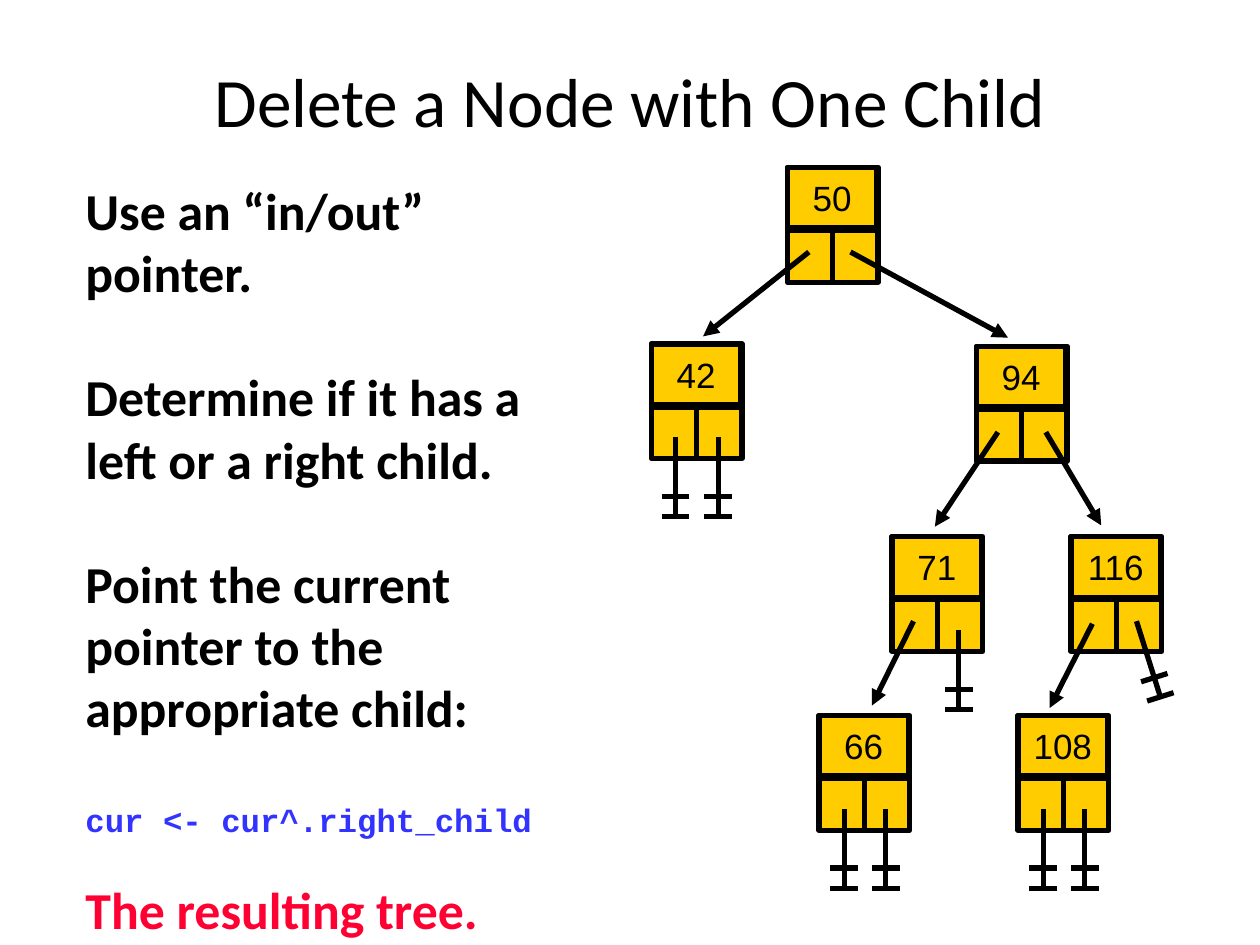
"""Build a slide on deleting a binary tree node that has one child."""
import math
from dataclasses import dataclass
from typing import Any

import pptx
import pptx.dml.color
import pptx.enum.shapes
import pptx.enum.text
import pptx.oxml.ns
import pptx.oxml.xmlchemy
import pptx.util
from pptx.util import Inches, Pt

BLACK, GOLD, BLUE, RED = "000000", "FFCC00", "3333FF", "FF0033"
CENTER = pptx.enum.text.PP_ALIGN.CENTER
MIDDLE = pptx.enum.text.MSO_ANCHOR.MIDDLE
CELL_WIDTH, LABEL_HEIGHT, CELL_TOP, CELL_HEIGHT = 0.36, 0.49, 0.5, 0.41


@dataclass
class Node:
    value: str
    left: float
    top: float


@dataclass
class Arrow:
    start: tuple[float, float]
    end: tuple[float, float]


@dataclass
class NullLink:
    left: float
    top: float
    tilt: float = 0


@dataclass
class Passage:
    text: str
    before: float
    line: float
    size: float = 29.6
    name: str = "Calibri"
    color: str = BLACK


NODES = [
    Node("50", 6.25, 1.33), Node("94", 7.75, 2.75), Node("71", 7.08, 4.26),
    Node("116", 8.5, 4.26), Node("108", 8.08, 5.68), Node("66", 6.5, 5.68),
    Node("42", 5.17, 2.73),
]
ARROWS = [
    Arrow((6.42, 2), (5.58, 2.67)), Arrow((6.75, 2), (8, 2.68)),
    Arrow((7.92, 3.43), (7.42, 4.18)), Arrow((8.3, 3.43), (8.74, 4.17)),
    Arrow((7.25, 4.93), (6.92, 5.6)), Arrow((8.67, 4.95), (8.33, 5.62)),
]
NULL_LINKS = [
    NullLink(5.36, 3.47), NullLink(5.7, 3.47), NullLink(6.7, 6.42),
    NullLink(7.03, 6.42), NullLink(7.61, 5), NullLink(8.28, 6.42),
    NullLink(9.02, 4.93, 17.5), NullLink(8.61, 6.42),
]
PASSAGES = [
    Passage("Use an “in/out” pointer.", 0, 35.5),
    Passage("Determine if it has a left or a right child.", 35.5, 35.5),
    Passage("Point the current \vpointer to the appropriate child:", 35.5, 35.5),
    Passage("cur <- cur^.right_child", 37, 21, 18.5, "Courier New", BLUE),
    Passage("The resulting tree.", 22, 35.5, color=RED),
]


def rgb(value: str) -> pptx.dml.color.RGBColor:
    return pptx.dml.color.RGBColor.from_string(value)


def apply(target: Any, values: dict[str, Any]) -> None:
    for name, value in values.items():
        setattr(target, name, value)


def style_font(para: Any, name: str, size: float, color: str, bold: bool = False) -> None:
    apply(para.font, {"name": name, "size": Pt(size), "bold": bold})
    para.font.color.rgb = rgb(color)


def style_line(line: Any) -> None:
    line.color.rgb = rgb(BLACK)
    line.width = Pt(3)


def add_cell(shapes: Any, left: float, top: float, width: float, height: float) -> Any:
    cell = shapes.add_shape(pptx.enum.shapes.MSO_SHAPE.RECTANGLE, Inches(left),
                            Inches(top), Inches(width), Inches(height))
    cell.shadow.inherit = False
    cell.fill.solid()
    cell.fill.fore_color.rgb = rgb(GOLD)
    style_line(cell.line)
    return cell


def add_node(shapes: Any, node: Node) -> None:
    group = shapes.add_group_shape().shapes
    width = 2 * CELL_WIDTH
    add_cell(group, node.left, node.top, width, LABEL_HEIGHT)
    for column in range(2):
        add_cell(group, node.left + column * CELL_WIDTH, node.top + CELL_TOP,
                 CELL_WIDTH, CELL_HEIGHT)
    label = add_cell(group, node.left, node.top, width - 0.01, LABEL_HEIGHT - 0.01)
    apply(label.text_frame, {
        "text": node.value, "word_wrap": False, "vertical_anchor": MIDDLE,
        "margin_left": 0, "margin_right": 0, "margin_top": 0, "margin_bottom": 0})
    para = label.text_frame.paragraphs[0]
    para.alignment = CENTER
    style_font(para, "Arial", 20, BLACK)


def add_line(shapes: Any, start: tuple[float, float], end: tuple[float, float]) -> Any:
    line = shapes.add_connector(pptx.enum.shapes.MSO_CONNECTOR.STRAIGHT,
                                *map(Inches, (*start, *end)))
    style_line(line.line)
    properties = line._element.spPr
    properties.append(pptx.oxml.xmlchemy.OxmlElement("a:effectLst"))
    return line


def add_arrow(shapes: Any, arrow: Arrow) -> None:
    line = add_line(shapes, arrow.start, arrow.end)
    head = pptx.oxml.xmlchemy.OxmlElement("a:tailEnd")
    head.set("type", "triangle")
    line._element.spPr.find(pptx.oxml.ns.qn("a:ln")).append(head)


def add_null_link(shapes: Any, link: NullLink) -> None:
    group = shapes.add_group_shape().shapes
    angle = math.radians(link.tilt)
    sine, cosine = math.sin(angle), math.cos(angle)

    def point(across: float, down: float) -> tuple[float, float]:
        return (link.left + across * cosine + down * sine,
                link.top - across * sine + down * cosine)

    add_line(group, point(0, 0), point(0, 0.63))
    for down in (0.47, 0.63):
        add_line(group, point(-0.11, down), point(0.11, down))


def add_title(slide: Any) -> None:
    title = slide.shapes.title
    apply(title, {"left": Inches(0.75), "top": Inches(0.42),
                  "width": Inches(8.5), "height": Inches(0.75)})
    apply(title.text_frame, {"text": "Delete a Node with One Child",
                             "word_wrap": True, "vertical_anchor": MIDDLE})
    para = title.text_frame.paragraphs[0]
    para.alignment = CENTER
    style_font(para, "Calibri", 39.6, BLACK)


def add_passages(slide: Any) -> None:
    box = slide.shapes.add_textbox(Inches(0.58), Inches(1.33), Inches(4.17), Inches(5.67))
    frame = box.text_frame
    apply(frame, {"word_wrap": True, "margin_top": Inches(0.09)})
    for index, passage in enumerate(PASSAGES):
        para = frame.add_paragraph() if index else frame.paragraphs[0]
        apply(para, {"text": passage.text, "space_before": Pt(passage.before),
                     "line_spacing": Pt(passage.line)})
        style_font(para, passage.name, passage.size, passage.color, True)


def main() -> None:
    deck = pptx.Presentation()
    apply(deck, {"slide_width": Inches(10), "slide_height": Inches(7.5)})
    slide = deck.slides.add_slide(deck.slide_layouts.get_by_name("Title Only"))
    add_title(slide)
    add_passages(slide)
    for node in NODES:
        add_node(slide.shapes, node)
    for arrow in ARROWS:
        add_arrow(slide.shapes, arrow)
    for link in NULL_LINKS:
        add_null_link(slide.shapes, link)
    deck.save("out.pptx")


if __name__ == "__main__":
    main()
